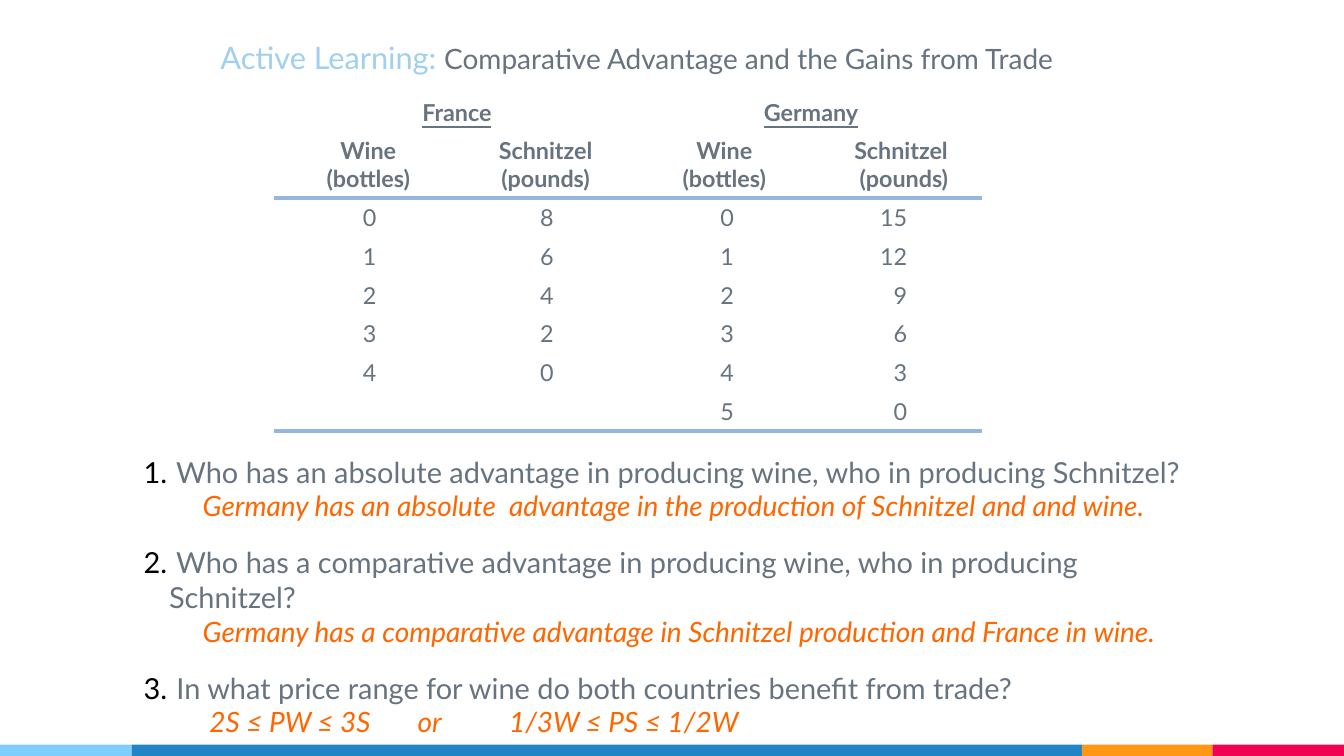
from copy import deepcopy

from lxml import etree
from pptx import Presentation
from pptx.dml.color import RGBColor
from pptx.enum.shapes import MSO_SHAPE
from pptx.enum.text import MSO_ANCHOR, PP_ALIGN
from pptx.oxml.ns import qn
from pptx.util import Inches, Pt

RECTANGLE = MSO_SHAPE.RECTANGLE
TOP, MIDDLE = MSO_ANCHOR.TOP, MSO_ANCHOR.MIDDLE
LEFT, CENTER, RIGHT = PP_ALIGN.LEFT, PP_ALIGN.CENTER, PP_ALIGN.RIGHT

FONT = "Lato"
GRAY = RGBColor(0x67, 0x74, 0x80)
PALE_BLUE = RGBColor(0x9F, 0xD0, 0xEF)
RULE_BLUE = RGBColor(0x95, 0xB6, 0xDF)
ORANGE = RGBColor(0xFF, 0x66, 0x00)
BLACK = RGBColor(0x00, 0x00, 0x00)
BAND_COLORS = [RGBColor(0x7E, 0xCE, 0xFD), RGBColor(0x21, 0x85, 0xC5),
               RGBColor(0xFF, 0x97, 0x15), RGBColor(0xF2, 0x02, 0x53)]
BAND_WIDTHS = [0.98, 7.07, 0.97, 0.98]

NO_TABLE_STYLE = "{2D5ABB26-0587-4C30-8999-92F81FD0307C}"
COLUMN_WIDTHS = [1.32, 1.32, 1.34, 1.29]
HEADINGS = ["Wine\v(bottles)", "Schnitzel\v(pounds)",
            "Wine\v(bottles)", "Schnitzel\v (pounds)"]
OUTPUTS = [["0", "8", "0", "15"], ["1", "6", "1", "12"], ["2", "4", "2", "9"],
           ["3", "2", "3", "6"], ["4", "0", "4", "3"], ["", "", "5", "0"]]

QUESTIONS = [
    ("Who has an absolute advantage in producing wine, who in producing Schnitzel?",
     "Germany has an absolute  advantage in the production of Schnitzel and and wine."),
    ("Who has a comparative advantage in producing wine, who in producing Schnitzel?",
     "Germany has a comparative advantage in Schnitzel production and France in wine."),
    ("In what price range for wine do both countries benefit from trade?",
     "2S ≤ PW ≤ 3S\tor\t1/3W ≤ PS ≤ 1/2W"),
]


def add_text(paragraph, text, size, color=GRAY, bold=False, italic=False,
             underline=False, align=LEFT):
    """Append text to a paragraph; a vertical tab makes a line break."""
    paragraph.alignment = align
    for index, line in enumerate(text.split("\v")):
        if index:
            paragraph.add_line_break()
        run = paragraph.add_run()
        run.text = line
        font = run.font
        font.name, font.size, font.color.rgb = FONT, Pt(size), color
        font.bold, font.italic, font.underline = bold, italic, underline
    for line_break in paragraph._p.findall(qn("a:br")):
        line_break.append(deepcopy(run._r.rPr))


def add_child(parent, tag, **attributes):
    child = etree.SubElement(parent, qn(tag))
    for name, value in attributes.items():
        child.set(name, str(value))
    return child


def set_indent(paragraph, margin, first_line):
    properties = paragraph._p.get_or_add_pPr()
    properties.set("marL", str(Inches(margin)))
    properties.set("indent", str(Inches(first_line)))
    return properties


def add_bands(slide, left, top, height):
    for width, color in zip(BAND_WIDTHS, BAND_COLORS):
        band = slide.shapes.add_shape(RECTANGLE, Inches(left), Inches(top),
                                      Inches(width), Inches(height))
        band.shadow.inherit = False
        band.fill.solid()
        band.fill.fore_color.rgb = color
        band.line.fill.background()
        left += width


def add_title(slide, left, top, width, height):
    title = slide.shapes.title
    title.left, title.top = Inches(left), Inches(top)
    title.width, title.height = Inches(width), Inches(height)
    title.text_frame.vertical_anchor = TOP
    paragraph = title.text_frame.paragraphs[0]
    add_text(paragraph, "Active Learning: ", 16.5, color=PALE_BLUE)
    add_text(paragraph, "Comparative Advantage and the Gains from Trade", 15)


def add_bottom_rule(cell):
    """Draw a cell border; borders come before the fill in the cell's XML."""
    properties = cell._tc.get_or_add_tcPr()
    line = etree.Element(qn("a:lnB"), w=str(Pt(2.25)))
    fill = add_child(line, "a:solidFill")
    add_child(fill, "a:srgbClr", val=RULE_BLUE)
    properties.insert(0, line)


def add_production_table(slide, left, top, width, height):
    rows = [["France", "", "Germany", ""], HEADINGS] + OUTPUTS
    last_row = len(rows) - 1
    table = slide.shapes.add_table(len(rows), len(HEADINGS), Inches(left), Inches(top),
                                   Inches(width), Inches(height)).table
    table.first_row = table.horz_banding = False
    table._tbl.tblPr.find(qn("a:tableStyleId")).text = NO_TABLE_STYLE
    for column, column_width in zip(table.columns, COLUMN_WIDTHS):
        column.width = Inches(column_width)
    for column_index in (0, 2):
        table.cell(0, column_index).merge(table.cell(0, column_index + 1))

    for row_index, values in enumerate(rows):
        is_heading = row_index < 2
        table.rows[row_index].height = Inches(0.42 if row_index == 1 else 0.25)
        for column_index, value in enumerate(values):
            cell = table.cell(row_index, column_index)
            cell.fill.background()
            cell.margin_left = Inches(0.08)
            cell.margin_right = Inches(0 if is_heading else 0.56)
            cell.margin_top = cell.margin_bottom = Inches(0.04)
            cell.vertical_anchor = TOP if is_heading else MIDDLE
            paragraph = cell.text_frame.paragraphs[0]
            if value:
                add_text(paragraph, value, 12.5, bold=is_heading,
                         underline=row_index == 0, align=CENTER if is_heading else RIGHT)
            else:
                add_child(paragraph._p, "a:endParaRPr", sz=1250)
            if row_index in (1, last_row):
                add_bottom_rule(cell)


def add_questions(slide, left, top, width, height):
    box = slide.shapes.add_textbox(Inches(left), Inches(top), Inches(width), Inches(height))
    frame = box.text_frame
    frame.word_wrap = True
    for number, (question, answer) in enumerate(QUESTIONS, start=1):
        # Numbered question
        paragraph = frame.paragraphs[0] if number == 1 else frame.add_paragraph()
        paragraph.space_before = Pt(0 if number == 1 else 12)
        add_text(paragraph, " " + question, 15.5)
        properties = set_indent(paragraph, 0.19, -0.19)
        add_child(add_child(properties, "a:buClr"), "a:srgbClr", val=BLACK)
        add_child(properties, "a:buFont", typeface=FONT)
        add_child(properties, "a:buAutoNum", type="arabicPeriod", startAt=number)

        # Answer, with even tab stops where it has several parts
        paragraph = frame.add_paragraph()
        add_text(paragraph, answer, 15, color=ORANGE, italic=True)
        if "\t" in answer:
            set_indent(paragraph, 0, 0.49).set("defTabSz", str(Inches(0.68)))
        else:
            set_indent(paragraph, 0.44, 0)


def main():
    presentation = Presentation()
    presentation.slide_width, presentation.slide_height = Inches(10), Inches(5.625)
    slide = presentation.slides.add_slide(presentation.slide_layouts[5])
    add_bands(slide, 0, 5.54, 0.085)
    add_title(slide, 1.54, 0.24, 6.84, 0.79)
    add_production_table(slide, 2.04, 0.69, 5.27, 2.47)
    add_questions(slide, 0.97, 3.33, 8.06, 2.22)
    presentation.save("out.pptx")


if __name__ == "__main__":
    main()
